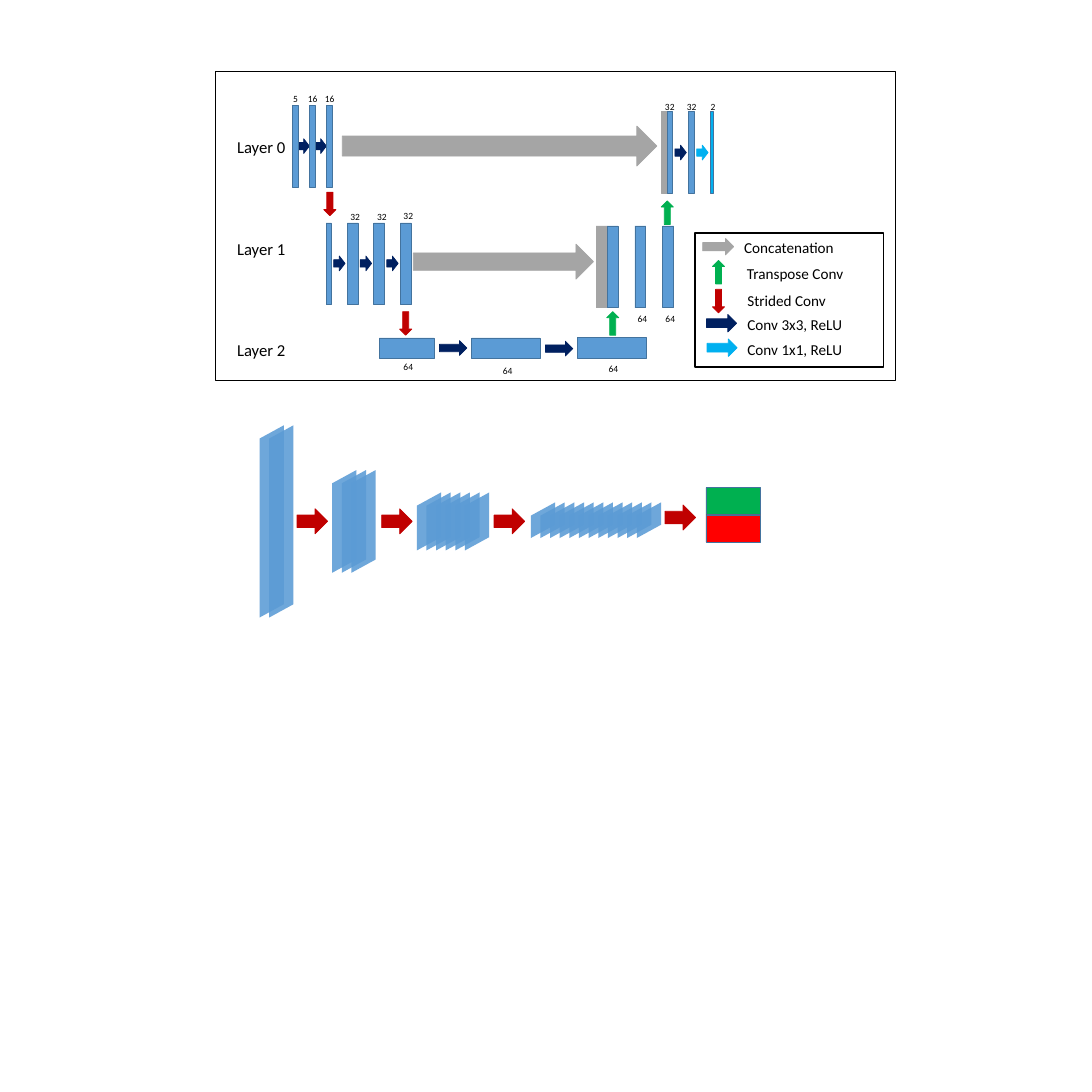
from lxml import etree
from pptx import Presentation
from pptx.dml.color import RGBColor
from pptx.enum.shapes import MSO_SHAPE
from pptx.oxml.ns import qn
from pptx.util import Pt

RECT = MSO_SHAPE.RECTANGLE
RIGHT = MSO_SHAPE.RIGHT_ARROW
UP = MSO_SHAPE.UP_ARROW
DOWN = MSO_SHAPE.DOWN_ARROW
BLUE, EDGE, GRAY, BLACK = "5B9BD5", "43739E", "A5A5A5", "000000"
NAVY, CYAN, GREEN, RED = "002060", "00B0F0", "00B050", "C00000"

BAR_H = 108
BARS = [
    (139, 7.2, BLUE, EDGE, [386, 408.3, 430.6]),
    (294, 7.2, BLUE, EDGE, [430]),
    (294, 14.4, BLUE, EDGE, [458, 493, 528]),
    (298, 14.4, GRAY, GRAY, [786.2]),
    (298, 14.4, BLUE, EDGE, [800.6, 837.3, 874]),
    (147, 7.2, GRAY, GRAY, [872.6]),
    (147, 7.2, BLUE, EDGE, [879.8, 908]),
    (147, 3.6, CYAN, EDGE, [936.7]),
]
BLOCKS = [(500.4, 445.7, 72), (622, 445.7, 90), (761.8, 445, 90)]
ARROWS = [
    (RIGHT, NAVY, 15, 19.4, [(393, 183), (415.4, 183), (440, 337.7),
                             (475, 337.7), (510, 337.7), (890, 191.5)]),
    (RIGHT, CYAN, 15, 19.4, [(918.7, 191.5)]),
    (RIGHT, NAVY, 36, 19.4, [(579.6, 449.3), (719.3, 450)]),
    (RIGHT, GRAY, 237.6, 46, [(545, 322)]),
    (RIGHT, GRAY, 414.7, 52.6, [(451.4, 166.3)]),
    (DOWN, RED, 16, 31, [(427, 253.4), (527, 411)]),
    (UP, GREEN, 16, 31, [(800, 411), (872, 265)]),
    (RIGHT, RED, 40.3, 33, [(391.7, 671), (503.3, 671), (651.6, 671), (877, 666)]),
]
COUNTS = [
    ("5", 379.4, 119.5), ("16", 399, 119.5), ("16", 421.2, 119.5),
    ("32", 455, 274.3), ("32", 490.3, 274.3), ("32", 525, 273.6),
    ("32", 869.8, 129.6), ("32", 898.6, 129.6), ("2", 930.2, 129.6),
    ("64", 833.8, 409.7), ("64", 870.5, 409.7),
    ("64", 525, 472.3), ("64", 656, 478), ("64", 795.6, 475.2),
]
LAYERS = ["Layer 0", "Layer 1", "Layer 2"]
KEYS = [
    ("Concatenation", 974.2, 310.3, 138, RIGHT, GRAY, (926.6, 314.6, 41, 21.6)),
    ("Transpose Conv", 977.8, 345, 142, UP, GREEN, (939.6, 343.4, 16, 31)),
    ("Strided Conv", 978.5, 380.2, 119, DOWN, RED, (939.6, 381.6, 16, 31)),
    ("Conv 3x3, ReLU", 978.5, 411.8, 140, RIGHT, NAVY, (931.7, 414.7, 39.6, 23)),
    ("Conv 1x1, ReLU", 978.5, 445, 140, RIGHT, CYAN, (932.4, 447, 39.6, 23)),
]
STACKS = [(358.2, 687.6, 2), (454, 687.6, 3), (565.6, 687.6, 6), (716, 686, 12)]
PLATE_W, PLATE_H, SLANT, STEP = 32, 236, 17.5, 12.7

deck = Presentation()
deck.slide_width = deck.slide_height = Pt(1440)
page = deck.slides.add_slide(deck.slide_layouts[6])
parts = page.shapes


def tint(code):
    return RGBColor.from_string(code)


def draw(kind, x, y, w, h, fill=None, line=BLACK, thick=1):
    item = parts.add_shape(kind, Pt(x), Pt(y), Pt(w), Pt(h))
    item.shadow.inherit = False
    if fill:
        item.fill.solid()
        item.fill.fore_color.rgb = tint(fill)
    else:
        item.fill.background()
    item.line.color.rgb = tint(line)
    item.line.width = Pt(thick)


def write(text, x, y, w, h, size=12.5, color=BLACK, face="Calibri"):
    box = parts.add_textbox(Pt(x), Pt(y), Pt(w), Pt(h))
    box.text_frame.word_wrap = False
    run = box.text_frame.paragraphs[0].add_run()
    run.text = text
    run.font.size, run.font.name = Pt(size), face
    run.font.color.rgb = tint(color)


def plate(mid, axis, high):
    left, right = mid - PLATE_W / 2, mid + PLATE_W / 2
    top = axis - (high + SLANT) / 2
    path = parts.build_freeform(Pt(left), Pt(top + SLANT))
    path.add_line_segments([
        (Pt(right), Pt(top)), (Pt(right), Pt(top + high)),
        (Pt(left), Pt(top + high + SLANT)),
    ], close=True)
    item = path.convert_to_shape()
    item.shadow.inherit = False
    item.fill.solid()
    item.fill.fore_color.rgb = tint(BLUE)
    item.line.fill.background()
    shade = item.fill._xPr.find(qn("a:solidFill"))[0]
    etree.SubElement(shade, qn("a:alpha")).set("val", "88000")


for kind, color, w, h, spots in ARROWS:
    for x, y in spots:
        draw(kind, x, y, w, h, color, color)

for y, w, fill, line, lefts in BARS:
    for x in lefts:
        draw(RECT, x, y, w, BAR_H, fill, line)

for x, y, w in BLOCKS:
    draw(RECT, x, y, w, 27.4, BLUE, EDGE)

for text, x, y in COUNTS:
    write(text, x, y, 14.4 + 6.4 * len(text), 22.3)

for row, text in enumerate(LAYERS):
    write(text, 305.5, 177 + 134 * row, 79, 34, size=22)

for text, x, y, w, kind, color, icon in KEYS:
    draw(kind, *icon, color, color)
    write(text, x, y, w, 31.7, size=20)

draw(RECT, 916.6, 307.4, 248.4, 176.4, thick=2)
draw(RECT, 283.7, 94.3, 896.4, 407.5)

for level, (x, axis, count) in enumerate(STACKS):
    for i in range(count):
        plate(x + STEP * i, axis, PLATE_H / 2 ** level)

for row, color in enumerate([GREEN, "FF0000"]):
    draw(RECT, 931, 643 + 36 * row, 72, 36, color, EDGE)

deck.save("out.pptx")
